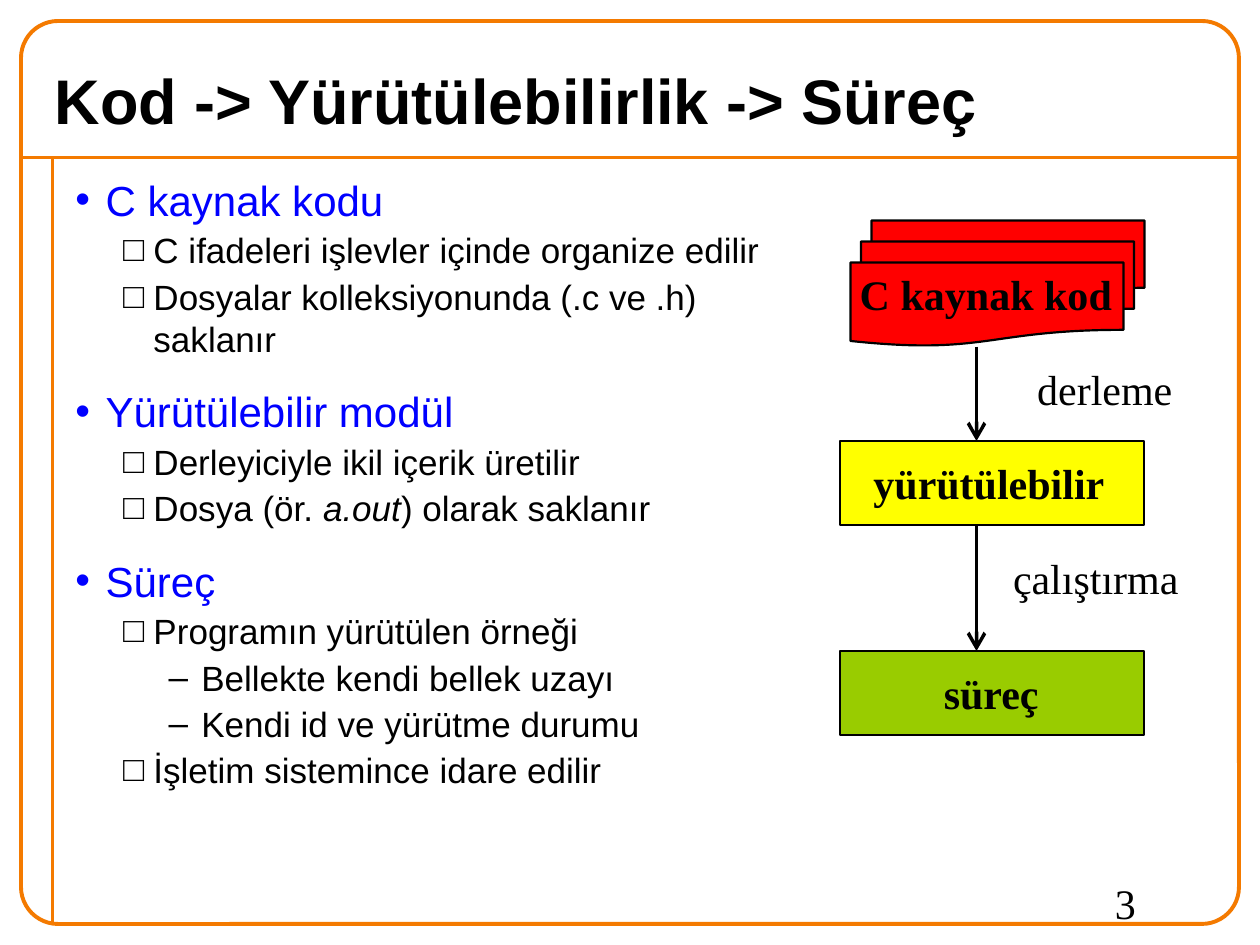
import dataclasses
import typing

import pptx
import pptx.dml.color
import pptx.enum.shapes
import pptx.enum.text
import pptx.oxml
import pptx.oxml.ns
import pptx.util

# The slide is a grid of 120 columns by 90 rows, twelve cells to the inch.
COLUMNS, ROWS = 120, 90
CELL = pptx.util.Inches(10) // COLUMNS
SHAPES = pptx.enum.shapes.MSO_SHAPE
ANCHOR = pptx.enum.text.MSO_ANCHOR
FIT = pptx.enum.text.MSO_AUTO_SIZE
ORANGE, BLACK, BLUE = "F47A00", "000000", "0000FF"
SANS, SERIF = "Arial", "Times New Roman"
AXIS = 93  # column of the flow arrows


@dataclasses.dataclass
class Panel:
    kind: int
    left: float
    top: float
    width: float
    height: float
    fill: typing.Optional[str] = None
    line: str = BLACK
    weight: float = 1.25


@dataclasses.dataclass
class Label:
    text: str
    left: float
    top: float
    width: float
    bold: bool = False


@dataclasses.dataclass
class Level:
    bullet: str
    color: str
    size: int
    margin: float
    indent: float
    before: float


LEVELS = [
    Level("•", BLUE, 24, 0.24, -0.24, 15),
    Level("□", BLACK, 20, 0.62, -0.24, 2.5),
    Level("–", BLACK, 20, 1, -0.26, 2.5),
]

# Each item is its level and its pieces; every second piece is italic.
OUTLINE = [
    (0, ["C kaynak kodu"]),
    (1, ["C ifadeleri işlevler içinde organize edilir"]),
    (1, ["Dosyalar kolleksiyonunda (.c ve .h) saklanır"]),
    (0, ["Yürütülebilir modül"]),
    (1, ["Derleyiciyle ikil içerik üretilir"]),
    (1, ["Dosya (ör. ", "a.out", ") olarak saklanır"]),
    (0, ["Süreç"]),
    (1, ["Programın yürütülen örneği"]),
    (2, ["Bellekte kendi bellek uzayı"]),
    (2, ["Kendi id ve yürütme durumu"]),
    (1, ["İşletim sistemince idare edilir"]),
]

FRAME = Panel(SHAPES.ROUNDED_RECTANGLE, 2, 2, COLUMNS - 4, ROWS - 4, None, ORANGE, 2.25)
SOURCES = [
    Panel(SHAPES.FLOWCHART_DOCUMENT, 83 - step, 21 + 2 * step, 26, 8, "FF0000")
    for step in range(3)
]
STAGES = [
    Panel(SHAPES.RECTANGLE, 80, 42, 29, 8, "FFFF00"),
    Panel(SHAPES.RECTANGLE, 80, 62, 29, 8, "99CC00"),
]
LABELS = [
    Label("yürütülebilir", 82, 43, 24.6, True),
    Label("C kaynak kod", 80.7, 25, 26.6, True),
    Label("süreç", 88.7, 63, 11.7, True),
    Label("derleme", 97.6, 34, 15.6),
    Label("çalıştırma", 95.3, 52, 18.5),
]


def cells(*counts: float) -> list:
    return [pptx.util.Emu(round(count * CELL)) for count in counts]


def color(value: str) -> pptx.dml.color.RGBColor:
    return pptx.dml.color.RGBColor.from_string(value)


def add_span(para, text: str, fill: str, **formats):
    span = para.add_run()
    span.text = text
    for name, value in formats.items():
        setattr(span.font, name, value)
    span.font.color.rgb = color(fill)


def draw_panel(page, panel: Panel):
    box = page.shapes.add_shape(
        panel.kind, *cells(panel.left, panel.top, panel.width, panel.height))
    box.shadow.inherit = False
    if panel.fill:
        box.fill.solid()
        box.fill.fore_color.rgb = color(panel.fill)
    else:
        box.fill.background()
    box.line.color.rgb = color(panel.line)
    box.line.width = pptx.util.Pt(panel.weight)
    return box


def draw_line(page, start: tuple, end: tuple, line: str, weight: float, arrow: bool = False):
    connector = page.shapes.add_connector(
        pptx.enum.shapes.MSO_CONNECTOR.STRAIGHT, *cells(*start, *end))
    connector.line.color.rgb = color(line)
    connector.line.width = pptx.util.Pt(weight)
    properties = connector._element.spPr
    if arrow:
        outline = properties.find(pptx.oxml.ns.qn("a:ln"))
        outline.append(outline.makeelement(
            pptx.oxml.ns.qn("a:tailEnd"), {"type": "arrow", "w": "lg", "len": "lg"}))
    properties.append(properties.makeelement(pptx.oxml.ns.qn("a:effectLst")))


def add_text_box(page, left: float, top: float, width: float, height: float, wrap: bool):
    box = page.shapes.add_textbox(*cells(left, top, width, height))
    box.text_frame.word_wrap = wrap
    return box.text_frame


def draw_label(page, label: Label, wrap: bool = False):
    frame = add_text_box(page, label.left, label.top, label.width, 6, wrap)
    frame.auto_size = FIT.NONE if wrap else FIT.SHAPE_TO_FIT_TEXT
    add_span(frame.paragraphs[0], label.text, BLACK, name=SERIF,
             size=pptx.util.Pt(24), bold=label.bold)


def set_bullet(para, level: Level):
    properties = para._p.get_or_add_pPr()
    properties.set("marL", str(pptx.util.Inches(level.margin)))
    properties.set("indent", str(pptx.util.Inches(level.indent)))
    paint = properties.makeelement(pptx.oxml.ns.qn("a:buClr"))
    paint.append(paint.makeelement(pptx.oxml.ns.qn("a:srgbClr"), {"val": level.color}))
    properties.append(paint)
    for tag, name, value in (("a:buFont", "typeface", SANS), ("a:buChar", "char", level.bullet)):
        properties.append(properties.makeelement(pptx.oxml.ns.qn(tag), {name: value}))


def draw_outline(page):
    frame = add_text_box(page, 6, 16, 72, 72, True)
    for index, (depth, pieces) in enumerate(OUTLINE):
        para = frame.add_paragraph() if index else frame.paragraphs[0]
        level = LEVELS[depth]
        para.level = depth
        para.space_before = pptx.util.Pt(level.before)
        set_bullet(para, level)
        for order, piece in enumerate(pieces):
            add_span(para, piece, level.color, name=SANS,
                     size=pptx.util.Pt(level.size), italic=order % 2 == 1)


def draw_title(page, text: str):
    title = page.shapes.title
    for name, value in zip(("left", "top", "width", "height"), cells(4, 5, 112, 9)):
        setattr(title, name, value)
    title.text_frame.vertical_anchor = ANCHOR.MIDDLE
    para = title.text_frame.paragraphs[0]
    para.alignment = pptx.enum.text.PP_ALIGN.LEFT
    add_span(para, text, BLACK, name=SANS, size=pptx.util.Pt(36), bold=True)


def main():
    deck = pptx.Presentation()
    deck.slide_width, deck.slide_height = cells(COLUMNS, ROWS)
    page = deck.slides.add_slide(deck.slide_layouts[5])
    draw_line(page, (2, 15), (COLUMNS - 2, 15), ORANGE, 2.25)
    draw_line(page, (5, 15), (5, ROWS - 2), ORANGE, 2.25)
    draw_panel(page, FRAME).adjustments[0] = 0.041
    draw_title(page, "Kod -> Yürütülebilirlik -> Süreç")
    draw_outline(page)
    for panel in SOURCES + STAGES:
        draw_panel(page, panel)
    for top, bottom in ((33, 42), (50, 62)):
        draw_line(page, (AXIS, top), (AXIS, bottom), BLACK, 2, arrow=True)
    for label in LABELS:
        draw_label(page, label)
    draw_label(page, Label("3", 105, 83, 12), wrap=True)
    deck.save("out.pptx")


if __name__ == "__main__":
    main()
